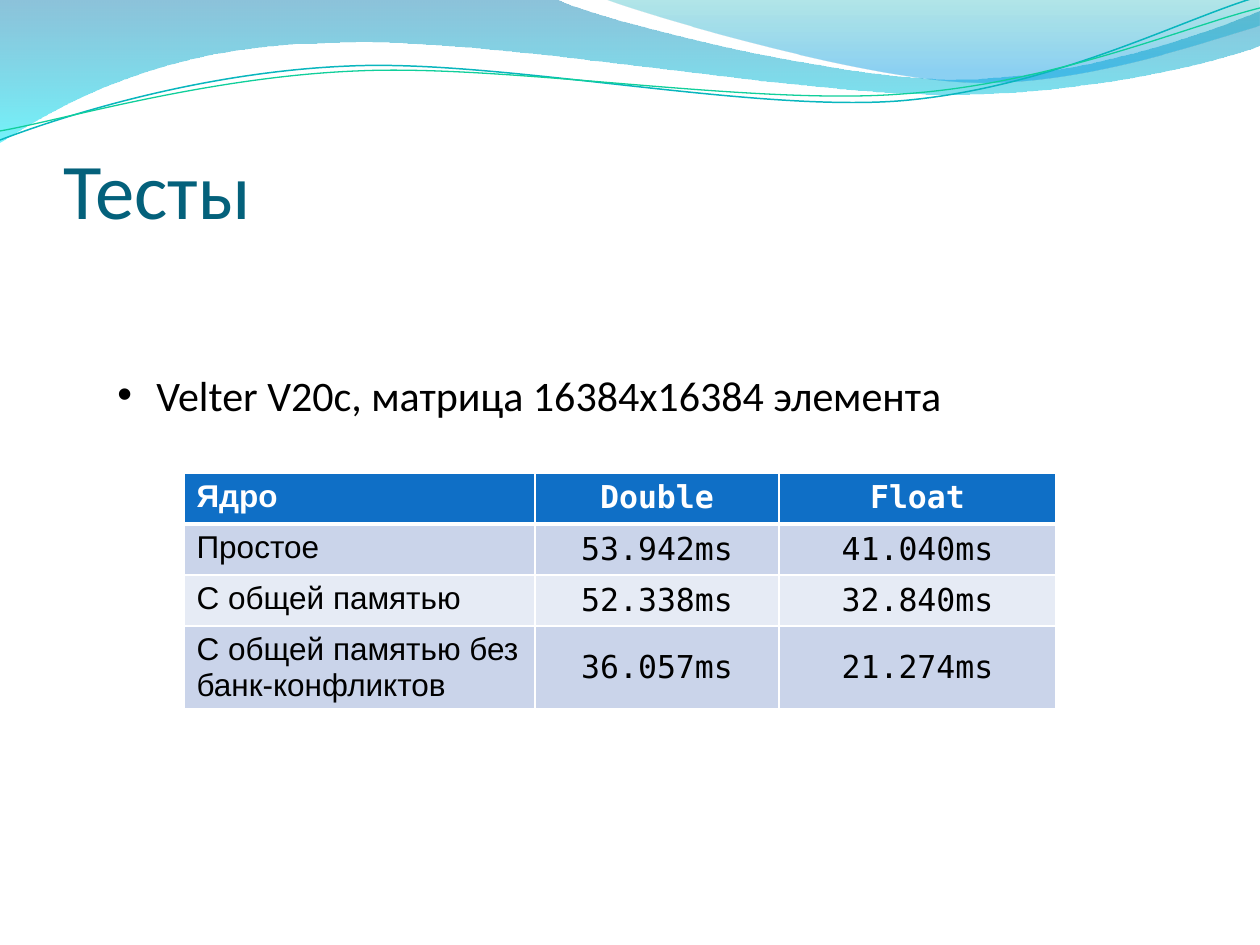
from lxml.etree import SubElement
from pptx import Presentation
from pptx.dml.color import RGBColor
from pptx.enum.text import MSO_ANCHOR, PP_ALIGN
from pptx.oxml.ns import qn
from pptx.util import Pt

PX = 7258  # EMU in one px, 126 px to the inch
WIDTH, HEIGHT = 1260, 945

WHITE = RGBColor(0xFF, 0xFF, 0xFF)
BLACK = RGBColor(0x00, 0x00, 0x00)
TITLE_BLUE = RGBColor(0x04, 0x61, 0x7B)
HEADER_BLUE = RGBColor(0x0F, 0x6F, 0xC6)
BAND_DARK = RGBColor(0xCA, 0xD4, 0xEA)
BAND_LIGHT = RGBColor(0xE6, 0xEB, 0xF5)
DEEP_BLUE = RGBColor(0x00, 0x79, 0xAD)
CYAN = RGBColor(0x00, 0xE9, 0xF7)
TEAL = RGBColor(0x00, 0xAB, 0xB4)
SKY_BLUE = RGBColor(0x00, 0x99, 0xE4)
LINE_TEAL = RGBColor(0x09, 0xB6, 0xBE)
LINE_GREEN = RGBColor(0x10, 0xCF, 0x9B)

# Outlines: a start point, then steps of one point (straight) or three (cubic curve).
# Gradient stops: position, colour, opacity in percent.
WAVES = [
    ([(0, 0)],
     [[(554, -1)],
      [(600, 21), (837, 79), (955, 79)], [(1075, 79), (1207, 33), (1260, 11)],
      [(1261, 45)],
      [(1239, 55), (1096, 96), (940, 94)], [(784, 94), (481, 35), (324, 43)],
      [(163, 45), (58, 105), (-1, 142)]],
     [(0, DEEP_BLUE, 45), (1, CYAN, 55)]),
    ([(604, -1)],
     [[(641, 14), (859, 78), (969, 82)], [(1079, 87), (1211, 40), (1260, 26)],
      [(1260, 0)]],
     [(0, TEAL, 30), (0.8, SKY_BLUE, 45)]),
]
WAVE_LINES = [
    ([(0, 140)],
     [[(60, 117), (199, 72), (349, 66)], [(498, 59), (747, 112), (898, 101)],
      [(1050, 89), (1182, 19), (1257, -3)]],
     LINE_TEAL, 0.85),
    ([(0, 131)],
     [[(59, 121), (207, 77), (357, 71)], [(508, 64), (752, 106), (903, 94)],
      [(1053, 84), (1187, 26), (1260, 8)]],
     LINE_GREEN, 0.75),
]

ROWS = [
    ("Ядро", "Double", "Float"),
    ("Простое", "53.942ms", "41.040ms"),
    ("С общей памятью", "52.338ms", "32.840ms"),
    ("С общей памятью без банк-конфликтов", "36.057ms", "21.274ms"),
]
COLUMN_WIDTHS = (351, 244, 277)
ROW_HEIGHTS = (51, 51, 51, 83)


def emu(*lengths):
    return [length * PX for length in lengths]


def apply(target, **values):
    for name, value in values.items():
        setattr(target, name, value)


def write(frame, text, name, size, color, bold=False, align=PP_ALIGN.LEFT):
    paragraph = frame.paragraphs[0]
    paragraph.alignment = align
    run = paragraph.add_run()
    run.text = text
    apply(run.font, name=name, size=Pt(size), bold=bold)
    run.font.color.rgb = color


def add_outline(slide, left, top, start, steps, close):
    points = [(x + left, y + top) for step in [start, *steps] for x, y in step]
    builder = slide.shapes.build_freeform(*points[0], scale=PX)
    builder.add_line_segments(points[1:], close=close)
    shape = builder.convert_to_shape()
    shape.shadow.inherit = False
    # Join each three control points into one curve
    segments = iter(list(shape.element.iter(qn("a:lnTo"))))
    for step in steps:
        parts = [next(segments) for _ in step]
        if len(parts) == 3:
            first = parts[0]
            first.tag = qn("a:cubicBezTo")
            for part in parts[1:]:
                first.append(part[0])
                part.getparent().remove(part)
    return shape


def add_header_waves(slide, left, top):
    # Filled waves
    for start, steps, stops in WAVES:
        shape = add_outline(slide, left, top, start, steps, True)
        shape.line.fill.background()
        shape.fill.gradient()
        shape.fill.gradient_angle = 270
        for stop, (position, color, opacity) in zip(shape.fill.gradient_stops, stops):
            stop.position = position
            stop.color.rgb = color
        for element, stop in zip(shape.element.spPr.iter(qn("a:srgbClr")), stops):
            SubElement(element, qn("a:alpha"), val=str(stop[2] * 1000))
    # Thin lines
    for start, steps, color, width in WAVE_LINES:
        shape = add_outline(slide, left, top, start, steps, False)
        shape.fill.background()
        shape.line.color.rgb = color
        shape.line.width = Pt(width)


def add_title(slide, left, top, width, height, text):
    title = slide.shapes.title
    left, top, width, height = emu(left, top, width, height)
    apply(title, left=left, top=top, width=width, height=height)
    apply(title.text_frame, margin_left=0, margin_right=0, margin_bottom=0,
          vertical_anchor=MSO_ANCHOR.BOTTOM)
    write(title.text_frame, text, "Calibri", 45, TITLE_BLUE)


def add_bullet(slide, left, top, width, height, text):
    box = slide.shapes.add_textbox(*emu(left, top, width, height))
    box.text_frame.word_wrap = True
    properties = box.text_frame.paragraphs[0]._p.get_or_add_pPr()
    indent = 39 * PX
    properties.set("marL", str(indent))
    properties.set("indent", str(-indent))
    SubElement(properties, qn("a:buFont"), typeface="Arial")
    SubElement(properties, qn("a:buChar"), char="•")
    write(box.text_frame, text, "Calibri", 24, BLACK)


def set_borders(cell, row):
    properties = cell._tc.get_or_add_tcPr()
    widths = {"lnL": 1, "lnR": 1, "lnT": 3 if row == 1 else 1, "lnB": 3 if row == 0 else 1}
    for side, width in widths.items():
        line = SubElement(properties, qn(f"a:{side}"), w=str(Pt(width)))
        fill = SubElement(line, qn("a:solidFill"))
        SubElement(fill, qn("a:srgbClr"), val=str(WHITE))


def add_timing_table(slide, left, top):
    size = sum(COLUMN_WIDTHS), sum(ROW_HEIGHTS)
    table = slide.shapes.add_table(len(ROWS), len(COLUMN_WIDTHS),
                                   *emu(left, top, *size)).table
    for column, width in zip(table.columns, emu(*COLUMN_WIDTHS)):
        column.width = width
    for row, height in zip(table.rows, emu(*ROW_HEIGHTS)):
        row.height = height
    for r, texts in enumerate(ROWS):
        header = r == 0
        for c, text in enumerate(texts):
            cell = table.cell(r, c)
            set_borders(cell, r)
            cell.fill.solid()
            cell.fill.fore_color.rgb = (
                HEADER_BLUE if header else BAND_DARK if r % 2 else BAND_LIGHT)
            centred = c > 0
            if centred and not header:
                cell.vertical_anchor = MSO_ANCHOR.MIDDLE
            write(cell.text_frame, text, "DejaVu Sans Mono" if centred else "Arial", 18,
                  WHITE if header else BLACK, header,
                  PP_ALIGN.CENTER if centred else PP_ALIGN.LEFT)


def main():
    presentation = Presentation()
    presentation.slide_width, presentation.slide_height = emu(WIDTH, HEIGHT)
    slide = presentation.slides.add_slide(presentation.slide_layouts[5])
    add_header_waves(slide, 0, 0)
    add_title(slide, 64, 135, 1134, 100, "Тесты")
    add_timing_table(slide, 184, 473)
    add_bullet(slide, 105, 363, 863, 63, "Velter V20c, матрица 16384x16384 элемента")
    presentation.save("out.pptx")


if __name__ == "__main__":
    main()
